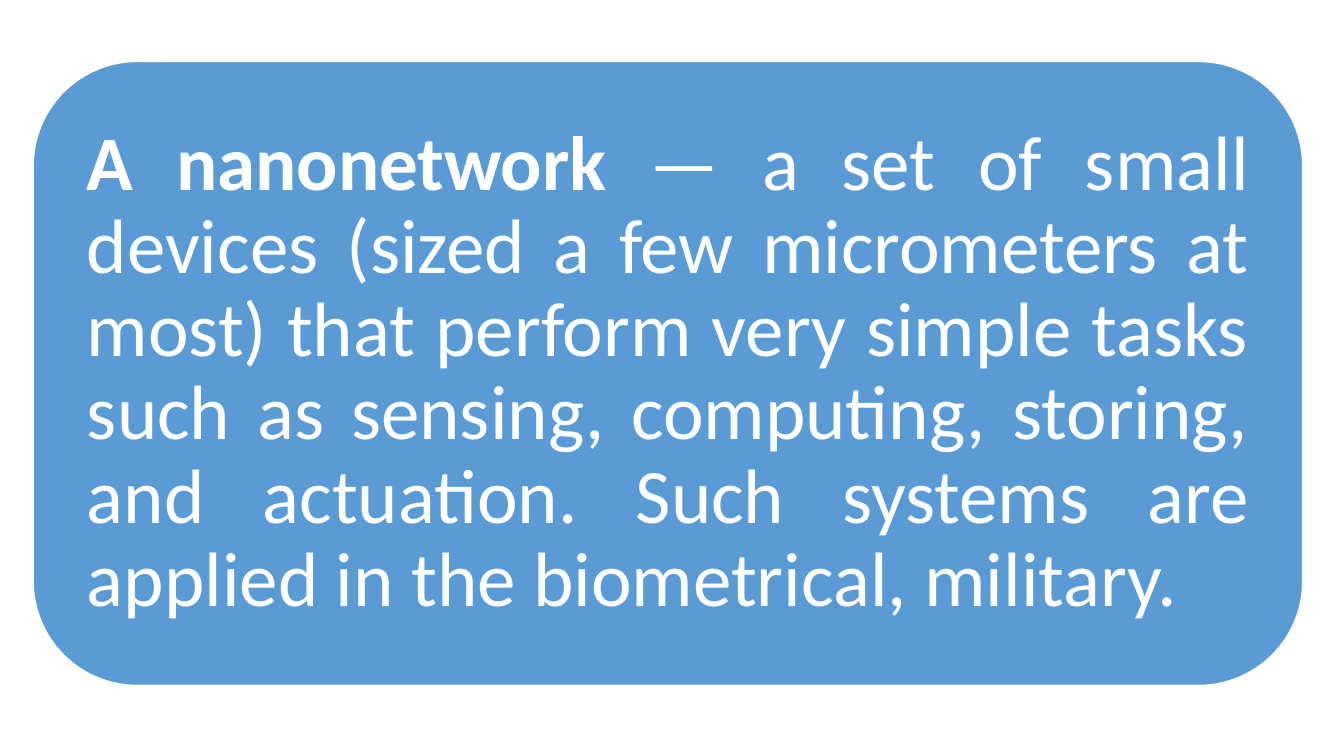
"""Build a slide with the definition of a nanonetwork."""
import pptx
import pptx.dml.color
import pptx.enum.shapes
import pptx.enum.text
import pptx.util

Inches = pptx.util.Inches
Pt = pptx.util.Pt
BLUE = pptx.dml.color.RGBColor(0x5B, 0x9B, 0xD5)
WHITE = pptx.dml.color.RGBColor(0xFF, 0xFF, 0xFF)

TERM = "A nanonetwork"
MEANING = (
    " — a set of small devices (sized a few micrometers at most) that perform "
    "very simple tasks such as sensing, computing, storing, and actuation. "
    "Such systems are applied in the biometrical, military."
)


def add_panel(slide, left, top, width, height):
    panel = slide.shapes.add_shape(
        pptx.enum.shapes.MSO_SHAPE.ROUNDED_RECTANGLE,
        Inches(left), Inches(top), Inches(width), Inches(height),
    )
    panel.shadow.inherit = False
    panel.fill.solid()
    panel.fill.fore_color.rgb = BLUE
    panel.line.color.rgb = WHITE
    panel.line.width = Pt(1)
    return panel


def write_definition(panel, term, meaning):
    frame = panel.text_frame
    frame.word_wrap = True
    frame.vertical_anchor = pptx.enum.text.MSO_ANCHOR.MIDDLE
    frame.margin_left = frame.margin_right = Inches(0.23)
    frame.margin_top = frame.margin_bottom = Inches(0.23)

    definition = frame.paragraphs[0]
    definition.alignment = pptx.enum.text.PP_ALIGN.JUSTIFY
    definition.line_spacing = 0.9
    definition.font.name = "Calibri"
    definition.font.size = Pt(55)
    definition.font.color.rgb = WHITE
    for wording, bold in ((term, True), (meaning, False)):
        run = definition.add_run()
        run.text = wording
        run.font.bold = bold


def main():
    presentation = pptx.Presentation()
    presentation.slide_width = Inches(13.33)
    presentation.slide_height = Inches(7.5)
    blank_layout = presentation.slide_layouts.get_by_name("Blank")
    slide = presentation.slides.add_slide(blank_layout)
    panel = add_panel(slide, 0.33, 0.61, 12.59, 6.19)
    write_definition(panel, TERM, MEANING)
    presentation.save("out.pptx")


if __name__ == "__main__":
    main()
